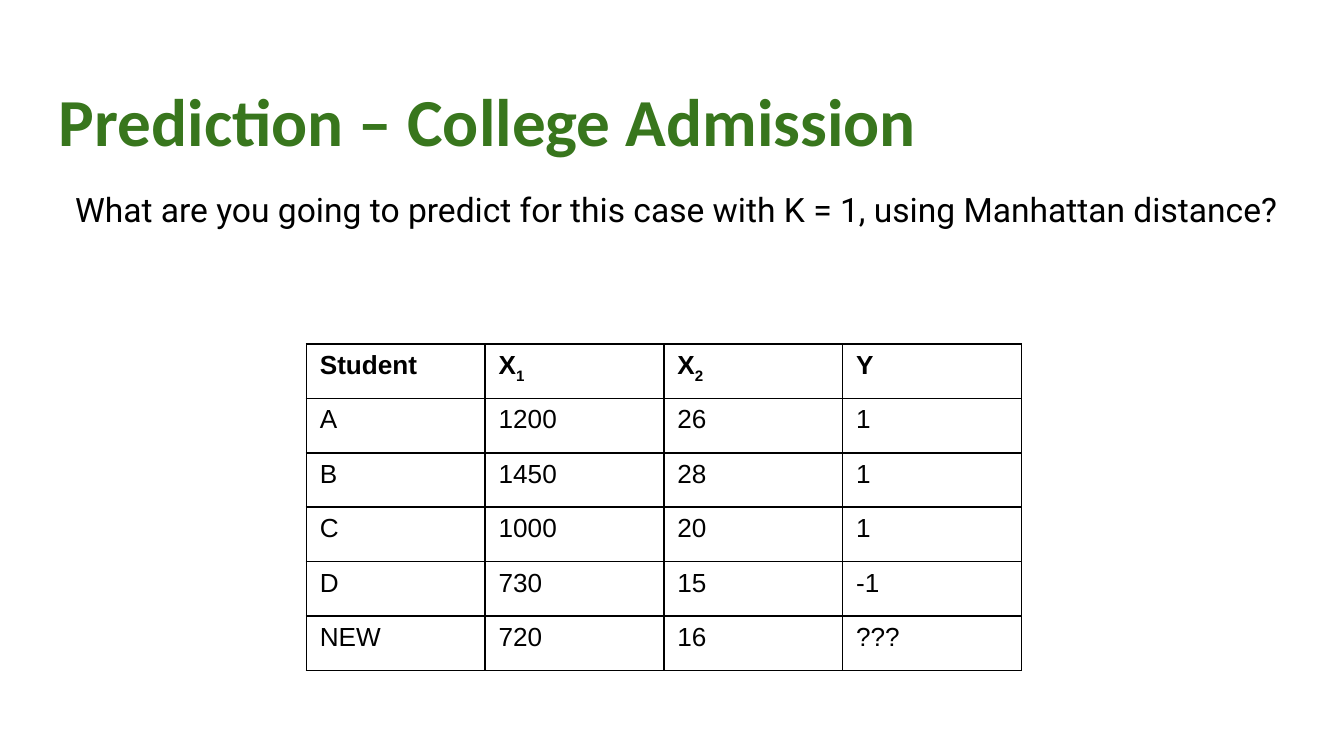
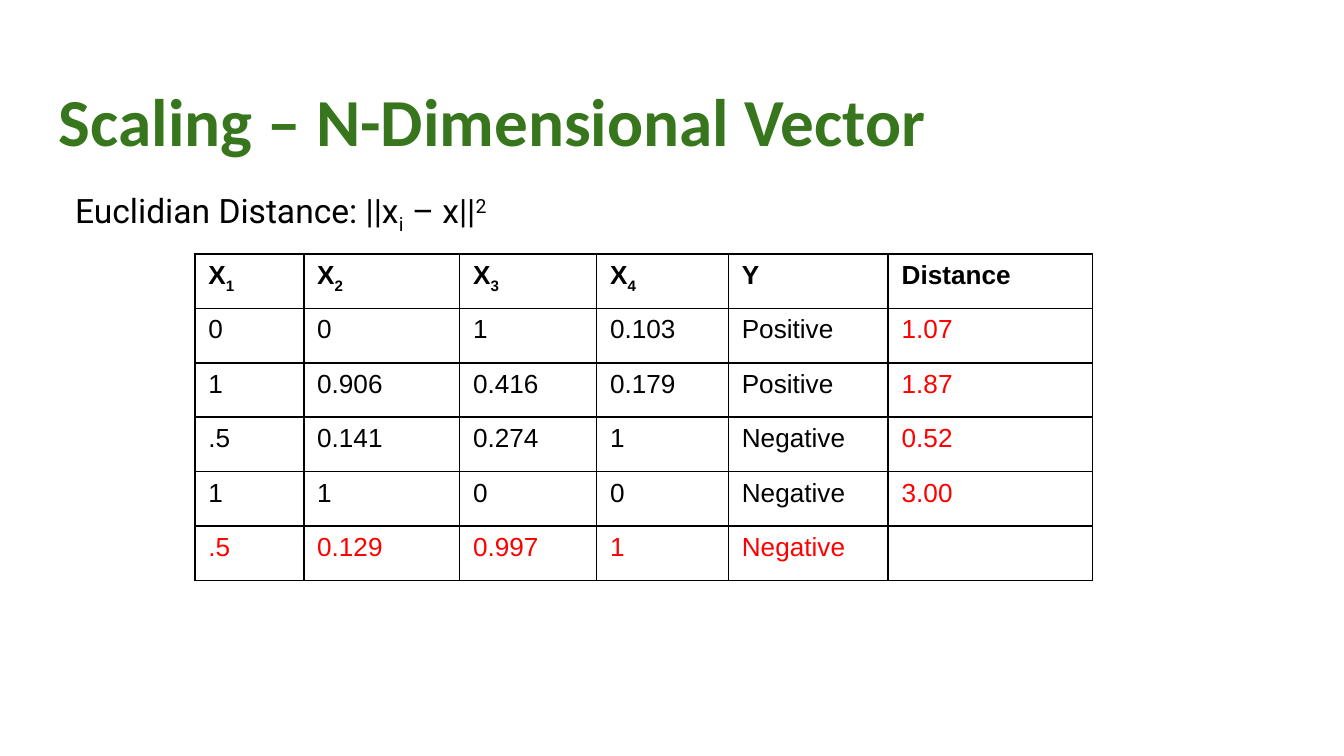
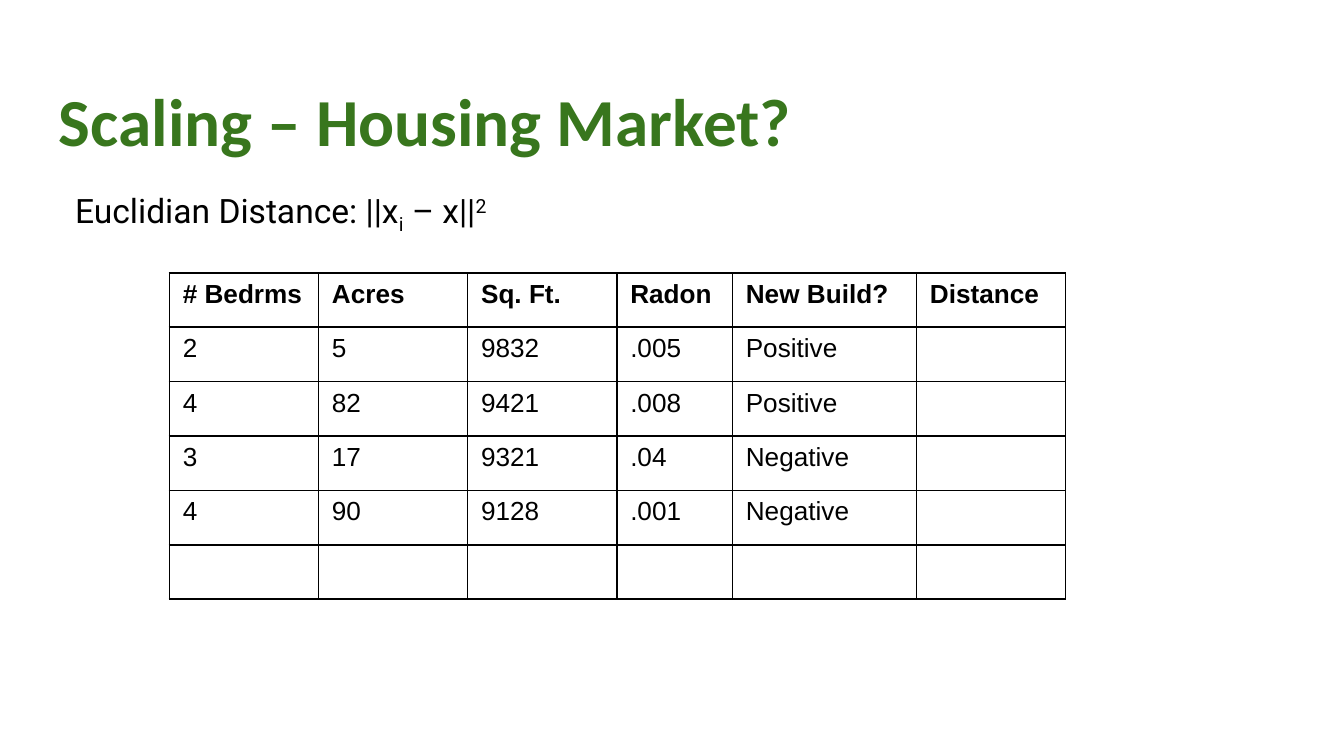
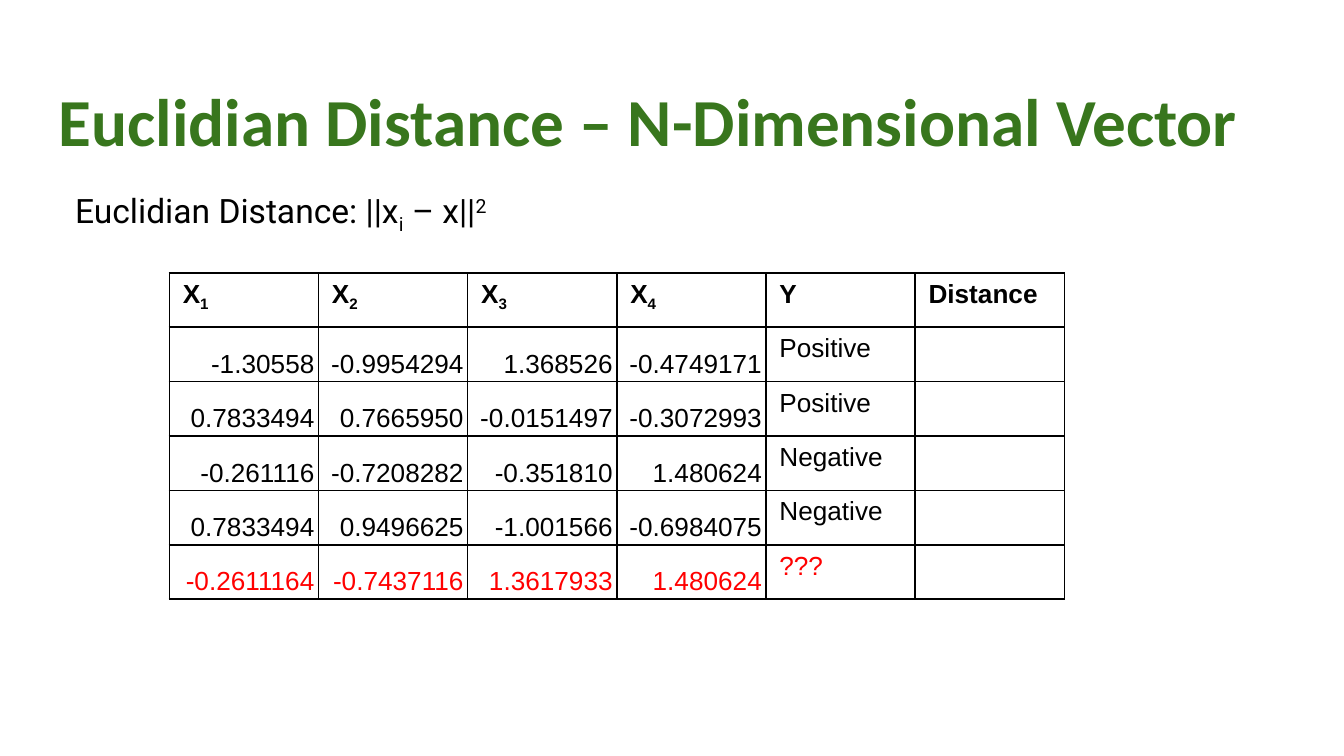
import pptx
import pptx.dml.color
import pptx.enum.text
import pptx.oxml.ns
import pptx.util
from lxml import etree

Inches = pptx.util.Inches
Pt = pptx.util.Pt

COLORS = {"title": "38761D", "text": "000000", "highlight": "FF0000",
          "border": "000000", "cell": "FFFFFF"}
SLIDE_WIDTH = Inches(10)
SLIDE_HEIGHT = SLIDE_WIDTH * 9 // 16
TITLE_BOX = (0.34, 0.49, 9.32, 0.63)
BODY_BOX = (0.34, 1.26, 9.32, 3.74)
SUBSCRIPT, SUPERSCRIPT = -25, 30
ROW_COUNT = 6
TABLE_HEIGHT = 2.43

EUCLIDIAN = [("Euclidian Distance: ||x", 0), ("i", SUBSCRIPT),
             (" – x||", 0), ("2", SUPERSCRIPT)]


def features(count):
    """Header cells X1, X2, ... with the number as a subscript."""
    return [[("X", 0), (str(number), SUBSCRIPT)] for number in range(1, count + 1)]


def write(paragraph, content, font_name, size, color, bold=False):
    """Fill a paragraph with a string or a list of (text, baseline) pairs."""
    runs = [(content, 0)] if isinstance(content, str) else content
    for text, baseline in runs:
        if text:
            run = paragraph.add_run()
            run.text = text
            if baseline:
                run._r.get_or_add_rPr().set("baseline", str(baseline * 1000))
    font = paragraph.font
    font.name, font.size, font.bold = font_name, Pt(size), bold
    font.color.rgb = pptx.dml.color.RGBColor.from_string(COLORS[color])


def add_text(slide, box, content, *style, bold=False):
    shape = slide.shapes.add_textbox(*map(Inches, box))
    frame = shape.text_frame
    frame.word_wrap = True
    frame.margin_left = frame.margin_right = Inches(0.1)
    frame.margin_top = frame.margin_bottom = Inches(0.1)
    paragraph = frame.paragraphs[0]
    write(paragraph, content, *style, bold=bold)
    return paragraph


def add_title(slide, title):
    add_text(slide, TITLE_BOX, title, "Calibri", 36, "title", bold=True)


def add_body(slide, content):
    paragraph = add_text(slide, BODY_BOX, content, "Roboto", 18, "text")
    paragraph.line_spacing = 1.15
    paragraph._p.get_or_add_pPr().set("marL", str(Inches(0.12)))


def set_borders(cell):
    properties = cell._tc.get_or_add_tcPr()
    qn = pptx.oxml.ns.qn
    for side in ("lnL", "lnR", "lnT", "lnB"):
        line = etree.SubElement(properties, qn(f"a:{side}"), w=str(Pt(1)))
        fill = etree.SubElement(line, qn("a:solidFill"))
        etree.SubElement(fill, qn("a:srgbClr"), val=COLORS["border"])


def align_number(cell):
    cell.vertical_anchor = pptx.enum.text.MSO_ANCHOR.BOTTOM
    cell.margin_left = cell.margin_right = Inches(0.03)
    cell.margin_top = cell.margin_bottom = Inches(0.02)
    cell.text_frame.paragraphs[0].alignment = pptx.enum.text.PP_ALIGN.RIGHT


def add_data_table(slide, left, top, widths, rows, filled=True,
                   highlighted=True, number_columns=0):
    """Table whose last row and sixth column are highlighted on request."""
    frame = slide.shapes.add_table(
        ROW_COUNT, len(widths), Inches(left), Inches(top),
        Inches(sum(widths)), Inches(TABLE_HEIGHT))
    table = frame.table
    table.first_row = table.horz_banding = False
    for column, width in zip(table.columns, widths):
        column.width = Inches(width)
    for row_index, values in enumerate(rows):
        table.rows[row_index].height = Inches(TABLE_HEIGHT / ROW_COUNT)
        is_header = row_index == 0
        for column_index, value in enumerate(values):
            cell = table.cell(row_index, column_index)
            set_borders(cell)
            if filled:
                cell.fill.solid()
                cell.fill.fore_color.rgb = pptx.dml.color.RGBColor.from_string(COLORS["cell"])
            else:
                cell.fill.background()
            marked = highlighted and not is_header and (
                row_index == ROW_COUNT - 1 or column_index == 5)
            write(cell.text_frame.paragraphs[0], value, "Arial", 14,
                  "highlight" if marked else "text", bold=is_header)
            if not is_header and column_index < number_columns:
                align_number(cell)


SLIDES = [
    ("Prediction – College Admission",
     "What are you going to predict for this case with K = 1, using Manhattan distance?",
     dict(left=2.28, top=2.56, widths=[1.33] * 4, filled=False, highlighted=False, rows=[
         ["Student", *features(2), "Y"],
         ["A", "1200", "26", "1"],
         ["B", "1450", "28", "1"],
         ["C", "1000", "20", "1"],
         ["D", "730", "15", "-1"],
         ["NEW", "720", "16", "???"]])),
    ("Scaling – N-Dimensional Vector", EUCLIDIAN,
     dict(left=1.45, top=1.89, widths=[0.81, 1.16, 1.02, 0.98, 1.19, 1.52], rows=[
         [*features(4), "Y", "Distance"],
         ["0", "0", "1", "0.103", "Positive", "1.07"],
         ["1", "0.906", "0.416", "0.179", "Positive", "1.87"],
         [".5", "0.141", "0.274", "1", "Negative", "0.52"],
         ["1", "1", "0", "0", "Negative", "3.00"],
         [".5", "0.129", "0.997", "1", "Negative", ""]])),
    ("Scaling – Housing Market?", EUCLIDIAN,
     dict(left=1.26, top=2.03, widths=[1.11, 1.11, 1.11, 0.86, 1.37, 1.11], rows=[
         ["# Bedrms", "Acres", "Sq. Ft.", "Radon", "New Build?", "Distance"],
         ["2", "5", "9832", ".005", "Positive", ""],
         ["4", "82", "9421", ".008", "Positive", ""],
         ["3", "17", "9321", ".04", "Negative", ""],
         ["4", "90", "9128", ".001", "Negative", ""],
         [""] * 6])),
    ("Euclidian Distance – N-Dimensional Vector", EUCLIDIAN,
     dict(left=1.26, top=2.03, widths=[1.11] * 6, number_columns=4, rows=[
         [*features(4), "Y", "Distance"],
         ["-1.30558", "-0.9954294", "1.368526", "-0.4749171", "Positive", ""],
         ["0.7833494", "0.7665950", "-0.0151497", "-0.3072993", "Positive", ""],
         ["-0.261116", "-0.7208282", "-0.351810", "1.480624", "Negative", ""],
         ["0.7833494", "0.9496625", "-1.001566", "-0.6984075", "Negative", ""],
         ["-0.2611164", "-0.7437116", "1.3617933", "1.480624", "???", ""]])),
]


def main():
    presentation = pptx.Presentation()
    presentation.slide_width = SLIDE_WIDTH
    presentation.slide_height = SLIDE_HEIGHT
    for title, body, table in SLIDES:
        slide = presentation.slides.add_slide(presentation.slide_layouts[6])
        add_title(slide, title)
        add_body(slide, body)
        add_data_table(slide, **table)
    presentation.save("out.pptx")


if __name__ == "__main__":
    main()
